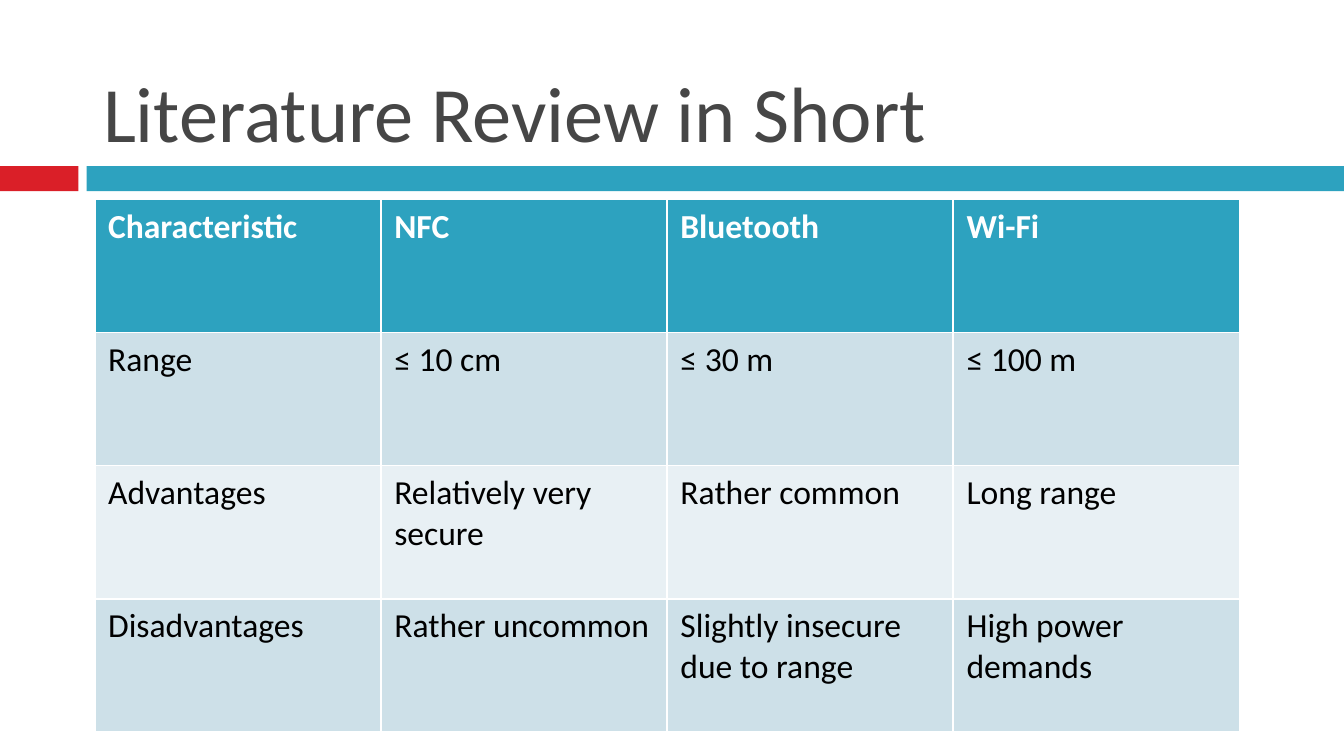
from pptx import Presentation
from pptx.dml.color import RGBColor
from pptx.enum import shapes, text
from pptx.util import Pt

TITLE = "Literature Review in Short"
ROWS = [
    ("Characteristic", "NFC", "Bluetooth", "Wi-Fi"),
    ("Range", "≤ 10 cm", "≤ 30 m", "≤ 100 m"),
    ("Advantages", "Relatively very secure", "Rather common", "Long range"),
    ("Disadvantages", "Rather uncommon", "Slightly insecure due to range",
     "High power demands"),
]
COLORS = {
    "red": "DA1F28", "teal": "2DA2BF", "title": "464646", "white": "FFFFFF",
    "black": "000000", "dark_band": "CDE0E8", "light_band": "E8F0F4",
}
FONT = "Calibri"
WIDTH, HEIGHT = 720, 405
BAR_TOP, BAR_HEIGHT = 89, 13.5
BARS = [(0, 42, "red"), (46.5, WIDTH - 46.5, "teal")]  # left, width, colour
TABLE_LEFT, TABLE_TOP = 50.75, 106.9
COLUMN_WIDTH, ROW_HEIGHT = 153.3, 71.3


def rgb(name):
    return RGBColor.from_string(COLORS[name])


def style_text(tf, size, color, bold=False):
    for p in tf.paragraphs:
        p.alignment = text.PP_ALIGN.LEFT
        for r in p.runs:
            r.font.name = FONT
            r.font.size = Pt(size)
            r.font.bold = bold
            r.font.color.rgb = rgb(color)


def add_bars(s):
    for left, width, color in BARS:
        sp = s.shapes.add_shape(shapes.MSO_SHAPE.RECTANGLE, Pt(left), Pt(BAR_TOP),
                                Pt(width), Pt(BAR_HEIGHT))
        sp.shadow.inherit = False
        sp.fill.solid()
        sp.fill.fore_color.rgb = rgb(color)
        sp.line.fill.background()


def add_title(s):
    sp = s.shapes.title
    sp.left, sp.top, sp.width, sp.height = Pt(48), Pt(9.4), Pt(642), Pt(79)
    tf = sp.text_frame
    tf.text = TITLE
    tf.vertical_anchor = text.MSO_ANCHOR.BOTTOM
    style_text(tf, 42, "title")


def add_comparison_table(s):
    """The default table style supplies the white cell borders."""
    n_rows, n_cols = len(ROWS), len(ROWS[0])
    table = s.shapes.add_table(n_rows, n_cols, Pt(TABLE_LEFT), Pt(TABLE_TOP),
                               Pt(n_cols * COLUMN_WIDTH),
                               Pt(n_rows * ROW_HEIGHT)).table
    for i, row in enumerate(ROWS):
        header = i == 0
        fill = "teal" if header else "dark_band" if i % 2 else "light_band"
        for j, value in enumerate(row):
            cell = table.cell(i, j)
            cell.text_frame.text = value
            cell.fill.solid()
            cell.fill.fore_color.rgb = rgb(fill)
            style_text(cell.text_frame, 18, "white" if header else "black", header)


def main():
    prs = Presentation()
    prs.slide_width, prs.slide_height = Pt(WIDTH), Pt(HEIGHT)
    s = prs.slides.add_slide(prs.slide_layouts[5])
    add_bars(s)
    add_title(s)
    add_comparison_table(s)
    prs.save("out.pptx")


if __name__ == "__main__":
    main()
